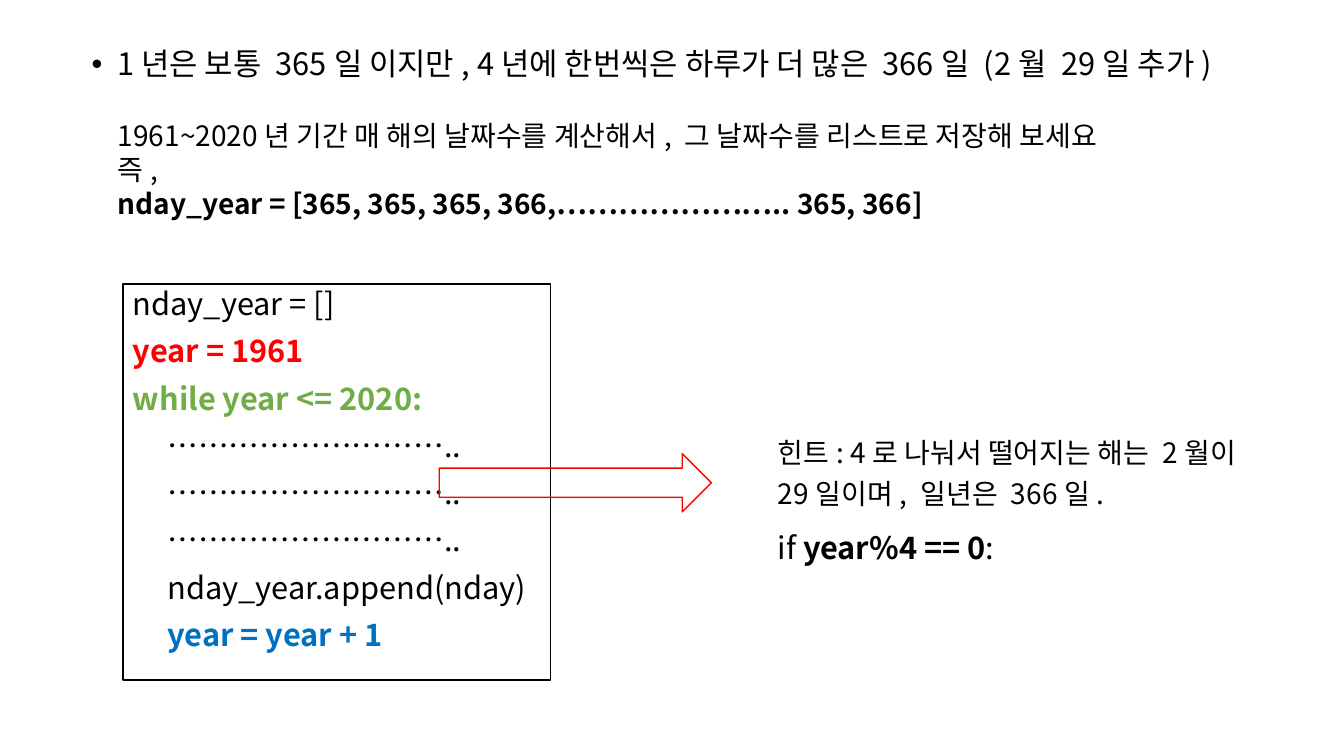
"""Build a slide with a Python exercise on counting the days of each year."""
from lxml.etree import SubElement
from pptx import Presentation
from pptx.dml.color import RGBColor
from pptx.enum.shapes import MSO_SHAPE as Shape
from pptx.enum.text import MSO_ANCHOR as Anchor, PP_ALIGN as Align
from pptx.oxml.ns import qn
from pptx.util import Cm, Pt

FONT = "Noto Sans CJK KR"
COLORS = {"black": "000000", "red": "FF0000", "green": "70AD47", "blue": "0070C0"}


def add_para(frame, spans, size, color="black", line=1.0, before=0):
    """Add a left-aligned paragraph made of (text, bold) spans."""
    first = frame.paragraphs[0]
    para = frame.add_paragraph() if first.runs else first
    para.alignment = Align.LEFT
    para.line_spacing = line
    para.space_before = Pt(before)
    for text, bold in spans:
        span = para.add_run()
        span.text = text
        span.font.size = Pt(size)
        span.font.bold = bold
        span.font.name = FONT
        span.font.color.rgb = RGBColor.from_string(COLORS[color])
        SubElement(span.font._element, qn("a:ea"), typeface=FONT)
    return para


def add_outline(page, kind, left, top, width, height, color):
    """Add an unfilled preset shape with a thin outline."""
    shape = page.shapes.add_shape(kind, Cm(left), Cm(top), Cm(width), Cm(height))
    shape.shadow.inherit = False
    shape.fill.background()
    shape.line.color.rgb = RGBColor.from_string(COLORS[color])
    shape.line.width = Pt(1)
    return shape


deck = Presentation()
deck.slide_width, deck.slide_height = Cm(33.87), Cm(19.05)
page = deck.slides.add_slide(deck.slide_layouts[6])

intro_box = page.shapes.add_textbox(Cm(2.06), Cm(1.12), Cm(30.78), Cm(1.63))
task_box = page.shapes.add_textbox(Cm(2.72), Cm(2.87), Cm(28.19), Cm(2.82))
code_box = add_outline(page, Shape.RECTANGLE, 3.1, 7.16, 10.77, 9.98, "black")
add_outline(page, Shape.RIGHT_ARROW, 11.07, 11.43, 6.86, 1.47, "red")
hint_box = page.shapes.add_textbox(Cm(19.35), Cm(10.69), Cm(13.08), Cm(3.71))
for box in (intro_box, task_box, code_box, hint_box):
    box.text_frame.word_wrap = True
    box.text_frame.vertical_anchor = Anchor.TOP

intro = "1년은 보통 365일 이지만, 4년에 한번씩은 하루가 더 많은 366일 (2월 29일 추가)"
para = add_para(intro_box.text_frame, [(intro, False)], 22, line=0.9, before=10)
bullet = para._p.get_or_add_pPr()
bullet.set("marL", str(Cm(0.64)))
bullet.set("indent", str(-Cm(0.64)))
SubElement(bullet, qn("a:buFont"), typeface="Arial")
SubElement(bullet, qn("a:buChar"), char="•")

task_lines = [
    ("1961~2020년 기간 매 해의 날짜수를 계산해서, 그 날짜수를 리스트로 저장해 보세요", False),
    ("즉,", False),
    ("nday_year = [365, 365, 365, 366,………………….. 365, 366]", True),
]
for task_line in task_lines:
    add_para(task_box.text_frame, [task_line], 20)

blank_line = ("………………………..", "black", False, True)
code_lines = [
    ("nday_year = []", "black", False, False),
    ("year = 1961", "red", True, False),
    ("while year <= 2020:", "green", True, False),
    *[blank_line] * 3,
    ("nday_year.append(nday)", "black", False, True),
    ("year = year + 1", "blue", True, True),
]
for text, color, bold, in_loop in code_lines:
    para = add_para(code_box.text_frame, [(text, bold)], 22, color, 0.9, 10)
    if in_loop:
        para._p.get_or_add_pPr().set("marL", str(Cm(0.87)))

hint = "힌트: 4로 나눠서 떨어지는 해는 2월이 29일이며, 일년은 366일."
condition = [("if ", False), ("year%4 == 0", True), (":", False)]
add_para(hint_box.text_frame, [(hint, False)], 20, line=1.2)
add_para(hint_box.text_frame, condition, 22, line=1.5)

deck.save("out.pptx")
